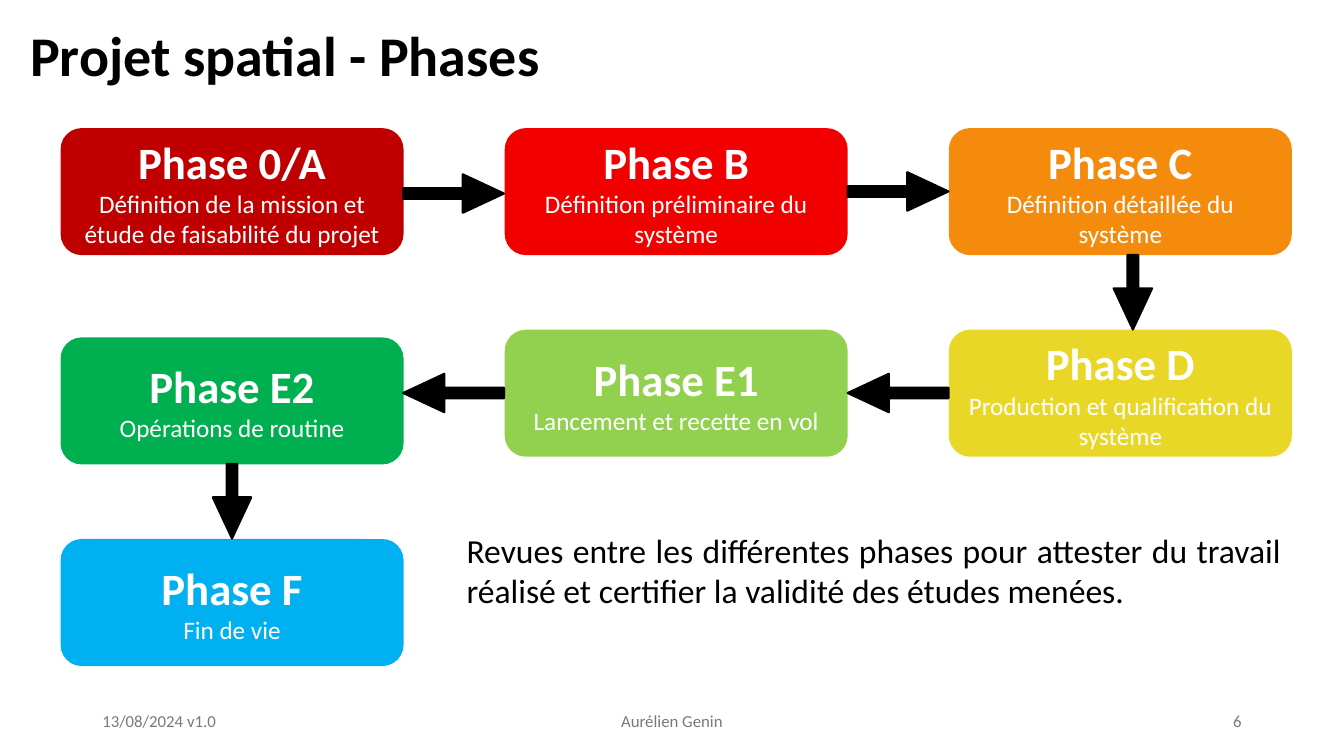
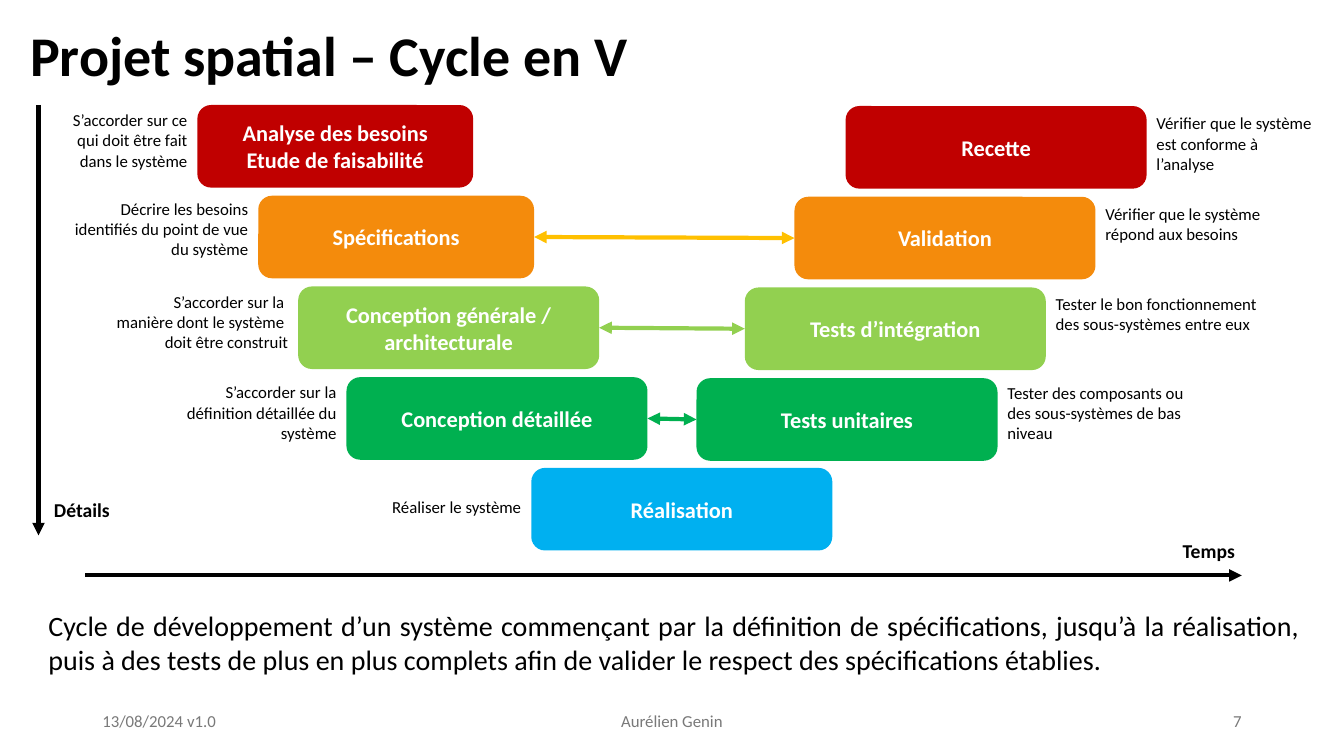
from lxml.etree import SubElement
from pptx import Presentation
from pptx.dml.color import RGBColor
from pptx.enum.shapes import MSO_CONNECTOR as Line, MSO_SHAPE as Kind
from pptx.enum.text import MSO_ANCHOR as Anchor, PP_ALIGN as Align
from pptx.oxml.ns import qn
from pptx.util import Pt

FONT = "Calibri"
HUES = {
    "black": "000000", "white": "FFFFFF", "grey": "797979",
    "dark": "C00000", "red": "F20000", "orange": "F48B0C",
    "yellow": "E9D727", "lime": "92D050", "green": "00B050",
    "blue": "00B0F0", "gold": "FFC000",
}
HUES = {name: RGBColor.from_string(code) for name, code in HUES.items()}


def put(slide, place, rows, hue="black", fill=None, align=Align.LEFT, anchor=Anchor.TOP):
    """Add a text box, or a rounded box if fill is given; rows hold (text, size, bold)."""
    spot = [Pt(n) for n in place]
    if fill:
        box = slide.shapes.add_shape(Kind.ROUNDED_RECTANGLE, *spot)
        box.shadow.inherit = False
        box.fill.solid()
        box.fill.fore_color.rgb = HUES[fill]
        box.line.fill.background()
        hue, align, anchor = "white", Align.CENTER, Anchor.MIDDLE
    else:
        box = slide.shapes.add_textbox(*spot)
    frame = box.text_frame
    frame.word_wrap = True
    frame.vertical_anchor = anchor
    for i, (text, size, bold) in enumerate(rows):
        para = frame.paragraphs[0] if i == 0 else frame.add_paragraph()
        para.alignment = align
        run = para.add_run()
        run.text = text
        font = run.font
        font.name, font.size, font.bold = FONT, Pt(size), bold
        font.color.rgb = HUES[hue]
    return box


def draw(slide, ends, hue, tips):
    """Add a thick line with arrowheads at the given tips."""
    line = slide.shapes.add_connector(Line.STRAIGHT, *[Pt(n) for n in ends])
    line.line.color.rgb = HUES[hue]
    line.line.width = Pt(3)
    for tip in tips:
        SubElement(line.line._get_or_add_ln(), qn("a:" + tip), type="triangle")
    SubElement(line._element.spPr, qn("a:effectLst"))
    return line


deck = Presentation()
deck.slide_width, deck.slide_height = Pt(960), Pt(540)

# Title and footer of every slide
slides = []
for page, title in enumerate(["Projet spatial - Phases", "Projet spatial – Cycle en V"], 6):
    slide = deck.slides.add_slide(deck.slide_layouts[6])
    for left, width, text, align in [
        (66, 216, "13/08/2024 v1.0", Align.LEFT),
        (318, 324, "Aurélien Genin", Align.CENTER),
        (678, 216, str(page), Align.RIGHT),
    ]:
        put(slide, (left, 500.5, width, 28.75), [(text, 12, False)], "grey",
            align=align, anchor=Anchor.MIDDLE)
    put(slide, (14.5, 11, 896, 55.5), [(title, 40, True)])
    slides.append(slide)
phases, cycle = slides

# Phases: column, top, name, aim, fill
for col, top, name, aim, fill in [
    (0, 91.5, "Phase 0/A", "Définition de la mission et étude de faisabilité du projet", "dark"),
    (1, 91.5, "Phase B", "Définition préliminaire du système", "red"),
    (2, 91.5, "Phase C", "Définition détaillée du système", "orange"),
    (2, 235.5, "Phase D", "Production et qualification du système", "yellow"),
    (1, 235.5, "Phase E1", "Lancement et recette en vol", "lime"),
    (0, 241, "Phase E2", "Opérations de routine", "green"),
    (0, 385, "Phase F", "Fin de vie", "blue"),
]:
    put(phases, (43.25 + 317.25 * col, top, 245, 90.75),
        [(name, 32, True), (aim, 18, False)], fill=fill)

# Block arrows: centre, length, turn
for mid, level, size, turn in [
    (324, 138.25, 72, 270), (641.5, 136.75, 72, 270),
    (641.5, 280.75, 72, 90), (324, 280.75, 72, 90),
    (165.75, 358, 53.25, 0), (809.25, 208.75, 53.25, 0),
]:
    wide = 27.5
    arrow = phases.shapes.add_shape(
        Kind.DOWN_ARROW, Pt(mid - wide / 2), Pt(level - size / 2), Pt(wide), Pt(size))
    arrow.adjustments[0], arrow.adjustments[1] = 0.28, 1.07
    arrow.rotation = turn
    arrow.shadow.inherit = False
    arrow.fill.solid()
    arrow.fill.fore_color.rgb = HUES["black"]
    arrow.line.color.rgb = HUES["black"]
    arrow.line.width = Pt(1.5)

put(phases, (326.25, 375, 596, 65.5), [(
    "Revues entre les différentes phases pour attester du travail réalisé "
    "et certifier la validité des études menées.", 24, False)], align=Align.JUSTIFY)

# V cycle
put(cycle, (27.5, 431.25, 908, 55.5), [(
    "Cycle de développement d’un système commençant par la définition de "
    "spécifications, jusqu’à la réalisation, puis à des tests de plus en plus "
    "complets afin de valider le respect des spécifications établies.",
    20, False)], align=Align.JUSTIFY)

# Each step: left, width, lines, fill, note width, note shift, note lines
down = [
    (141, 197, ["Analyse des besoins", "Etude de faisabilité"], "dark",
     114, 0, ["S’accorder sur ce qui doit être fait dans le système"]),
    (184.5, 197, ["Spécifications"], "orange",
     139, -1.5, ["Décrire les besoins identifiés du point de vue du système"]),
    (213, 215, ["Conception générale / architecturale"], "lime",
     168.5, 0, ["S’accorder sur la ", "manière dont le système ", "doit être construit"]),
    (247.5, 215, ["Conception détaillée"], "green",
     139, 0, ["S’accorder sur la définition détaillée du système"]),
    (379.5, 215, ["Réalisation"], "blue", 205, 17.25, ["Réaliser le système"]),
]
rise = [
    (604, 215, ["Recette"], "dark",
     127, 1.5, ["Vérifier que le système est conforme à l’analyse"]),
    (567.5, 215, ["Validation"], "orange",
     132.5, 1.5, ["Vérifier que le système répond aux besoins"]),
    (532, 215, ["Tests d’intégration"], "lime",
     164, 1, ["Tester le bon fonctionnement des sous-systèmes entre eux"]),
    (497.5, 215, ["Tests unitaires"], "green",
     158, -0.5, ["Tester des composants ou des sous-systèmes de bas niveau"]),
]
sides = []
for steps, start, align in [(down, 75, Align.RIGHT), (rise, 75.75, Align.LEFT)]:
    boxes = []
    for i, (left, width, lines, fill, span, shift, note) in enumerate(steps):
        top = start + 64.8 * i
        boxes.append(put(cycle, (left, top, width, 59),
                         [(text, 16, True) for text in lines], fill=fill))
        edge = left - span if align == Align.RIGHT else left + width
        put(cycle, (edge, top + shift, span, 51),
            [(text, 12, False) for text in note], align=align)
    sides.append(boxes)

# Links between facing steps, from right edge (3) to left edge (1)
for row, hue in [(3, "green"), (2, "lime"), (1, "gold")]:
    link = draw(cycle, (0, 0, 0, 0), hue, ["headEnd", "tailEnd"])
    link.begin_connect(sides[0][row], 3)
    link.end_connect(sides[1][row], 1)

# Axes
for ends, left, top, text in [
    ((27.5, 75, 27.5, 382.5), 14.5, 352, "Détails"),
    ((61, 411, 887, 411), 819.5, 381.5, "Temps"),
]:
    draw(cycle, ends, "black", ["tailEnd"])
    put(cycle, (left, top, 88, 24.25), [(text, 14, True)], align=Align.CENTER)

deck.save("out.pptx")
